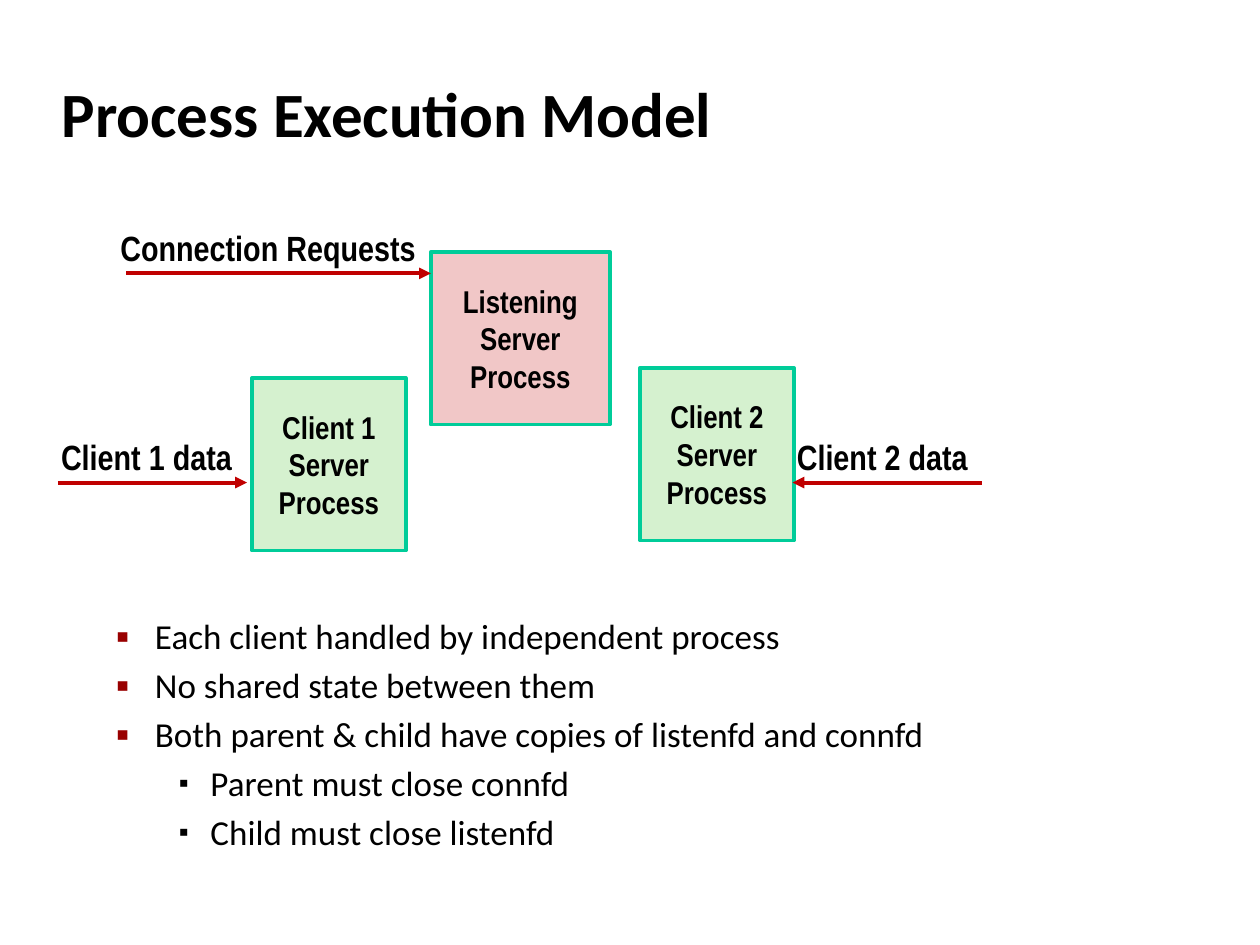
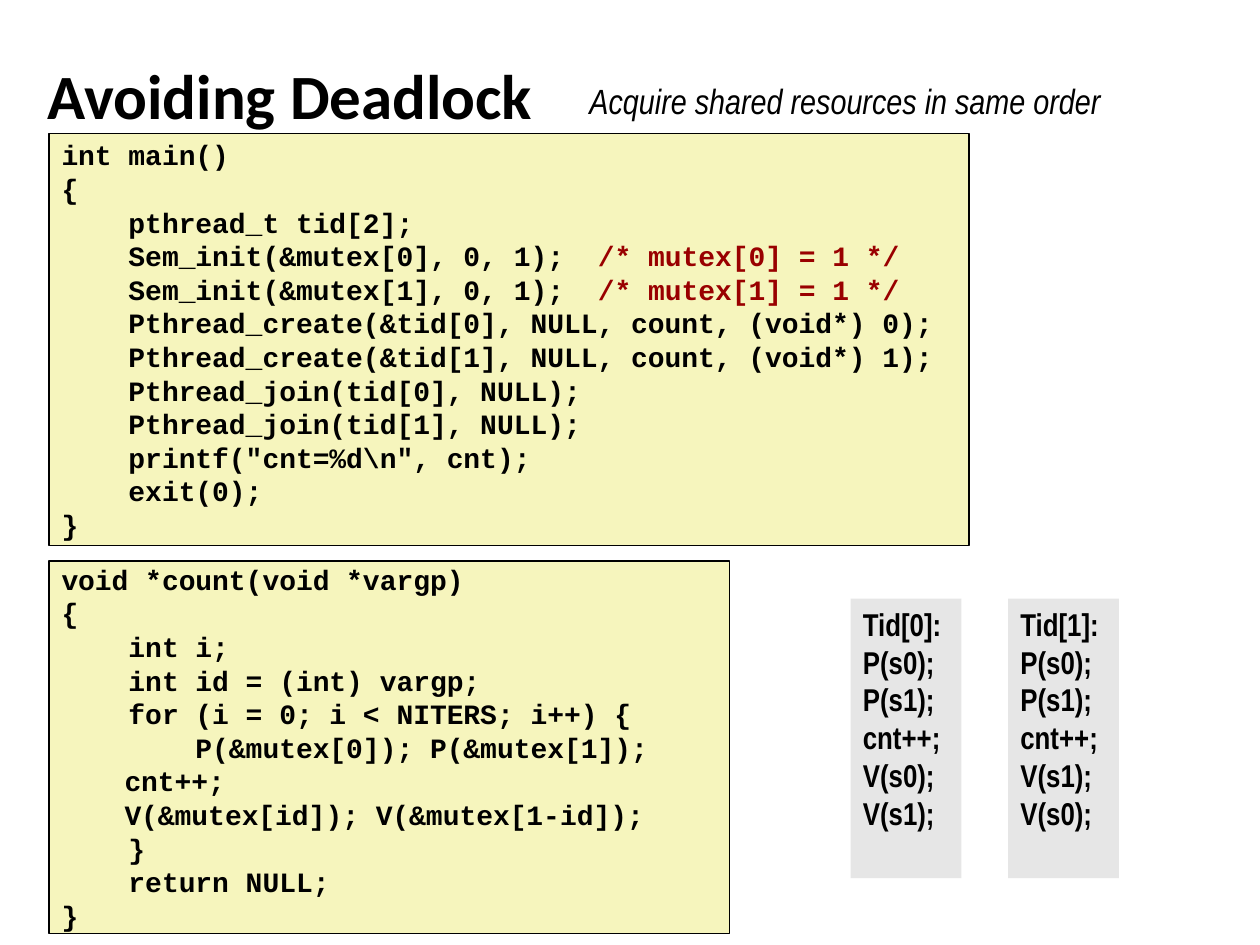
from dataclasses import dataclass

from lxml import etree
from pptx import Presentation
from pptx.dml.color import RGBColor
from pptx.enum.shapes import MSO_CONNECTOR, MSO_SHAPE
from pptx.enum.text import MSO_ANCHOR, MSO_AUTO_SIZE, PP_ALIGN
from pptx.oxml.ns import qn
from pptx.util import Inches, Pt

LEFT, CENTER, RIGHT = PP_ALIGN.LEFT, PP_ALIGN.CENTER, PP_ALIGN.RIGHT
TOP, MIDDLE = MSO_ANCHOR.TOP, MSO_ANCHOR.MIDDLE
NO_AUTOFIT = MSO_AUTO_SIZE.NONE
RECTANGLE = MSO_SHAPE.RECTANGLE
STRAIGHT = MSO_CONNECTOR.STRAIGHT
CONTENT_LAYOUT, TITLE_ONLY_LAYOUT = 1, 5


@dataclass(frozen=True)
class Theme:
    black: str = "000000"
    dark_red: str = "990000"
    arrow_red: str = "C00000"
    outline_green: str = "00CC99"
    client_fill: str = "D5F1CF"
    listener_fill: str = "F1C7C7"
    code_fill: str = "F6F5BD"
    trace_fill: str = "E6E6E6"
    heading_font: str = "Calibri"
    label_font: str = "Arial Narrow"
    code_font: str = "Courier New"
    title_size: int = 36
    text_size: int = 20
    box_size: int = 18
    code_size: int = 16


THEME = Theme()
SLIDE_SIZE = (10, 7.5)
TITLE_SIZE = (8.3, 0.83)
LABEL_HEIGHT = 0.44
PROCESS_HEIGHT = 1.37

# Process boxes: name, left, top, width, fill
PROCESSES = [
    ("Client 1", 2, 3, 1.22, THEME.client_fill),
    ("Client 2", 5.08, 2.92, 1.22, THEME.client_fill),
    ("Listening", 3.42, 2, 1.42, THEME.listener_fill),
]
# Messages: label, label left, label width, arrow start, arrow end, arrow height
MESSAGES = [
    ("Connection Requests", 0.83, 2.57, 1, 3.42, 2.17),
    ("Client 1 data", 0.37, 1.57, 0.46, 1.96, 3.83),
    ("Client 2 data", 6.21, 1.57, 7.79, 6.29, 3.83),
]
LABEL_RISE = 0.42
BULLETS = [
    (1, "Each client handled by independent process"),
    (1, "No shared state between them"),
    (1, "Both parent & child have copies of listenfd and connfd"),
    (2, "Parent must close connfd"),
    (2, "Child must close listenfd"),
]
# Level: indent, hanging part, bullet size in percent, bullet colour
BULLET_STYLES = {
    1: (0.81, 0.31, 110, THEME.dark_red),
    2: (1.25, 0.25, 80, THEME.black),
}

MAIN_CODE = """int main()
{
    pthread_t tid[2];
    Sem_init(&mutex[0], 0, 1);  /* mutex[0] = 1 */
    Sem_init(&mutex[1], 0, 1);  /* mutex[1] = 1 */
    Pthread_create(&tid[0], NULL, count, (void*) 0);
    Pthread_create(&tid[1], NULL, count, (void*) 1);
    Pthread_join(tid[0], NULL);
    Pthread_join(tid[1], NULL);
    printf("cnt=%d\\n", cnt);
    exit(0);
}"""
COUNT_CODE = """void *count(void *vargp)
{
    int i;
    int id = (int) vargp;
    for (i = 0; i < NITERS; i++) {
        P(&mutex[0]); P(&mutex[1]);
\tcnt++;
\tV(&mutex[id]); V(&mutex[1-id]);
    }
    return NULL;
}"""
CODE_LEFT = 0.39
# Code boxes: code, top, width, height
CODE_BOXES = [(MAIN_CODE, 1.06, 7.3, 3.27), (COUNT_CODE, 4.45, 5.4, 2.96)]
TRACES = [
    ["Tid[0]:", "P(s0);", "P(s1);", "cnt++;", "V(s0);", "V(s1);"],
    ["Tid[1]:", "P(s0);", "P(s1);", "cnt++;", "V(s1);", "V(s0);"],
]
TRACE_LEFT, TRACE_PITCH, TRACE_TOP, TRACE_SIZE = 6.75, 1.25, 4.75, (0.88, 2.22)


def color(value):
    return RGBColor.from_string(value)


def inches(values):
    return [Inches(value) for value in values]


def place(shape, left, top, width, height):
    shape.left, shape.top, shape.width, shape.height = inches((left, top, width, height))


def style(paragraph, font, size, bold=False, italic=False, align=LEFT):
    paragraph.alignment = align
    paragraph.font.name = font
    paragraph.font.size = Pt(size)
    paragraph.font.bold = bold
    paragraph.font.italic = italic
    paragraph.font.color.rgb = color(THEME.black)


def set_frame(frame, anchor, wrap):
    frame.auto_size = NO_AUTOFIT
    frame.vertical_anchor = anchor
    frame.word_wrap = wrap


def write_lines(frame, lines, font, size, **options):
    """Write one paragraph per line, with C comments in red."""
    for index, line in enumerate(lines):
        paragraph = frame.paragraphs[0] if index == 0 else frame.add_paragraph()
        code, marker, comment = line.partition("/*")
        paragraph.add_run().text = code
        if marker:
            run = paragraph.add_run()
            run.text = marker + comment
            run.font.color.rgb = color(THEME.dark_red)
        style(paragraph, font, size, **options)


def add_titled_slide(presentation, layout, title, left, top):
    slide = presentation.slides.add_slide(presentation.slide_layouts[layout])
    place(slide.shapes.title, left, top, *TITLE_SIZE)
    frame = slide.shapes.title.text_frame
    set_frame(frame, MIDDLE, True)
    write_lines(frame, [title], THEME.heading_font, THEME.title_size, bold=True)
    return slide


def add_box(slide, bounds, fill, outline=None, line_width=1, anchor=MIDDLE, wrap=True):
    box = slide.shapes.add_shape(RECTANGLE, *inches(bounds))
    box.shadow.inherit = False
    box.fill.solid()
    box.fill.fore_color.rgb = color(fill)
    if outline:
        box.line.color.rgb = color(outline)
        box.line.width = Pt(line_width)
    else:
        box.line.fill.background()
    set_frame(box.text_frame, anchor, wrap)
    return box.text_frame


def add_label(slide, text, left, top, width, **options):
    label = slide.shapes.add_textbox(*inches((left, top, width, LABEL_HEIGHT)))
    set_frame(label.text_frame, TOP, False)
    write_lines(label.text_frame, [text], THEME.label_font, THEME.text_size, **options)


def add_arrow(slide, start, end, height):
    arrow = slide.shapes.add_connector(STRAIGHT, *inches((start, height, end, height)))
    arrow.line.color.rgb = color(THEME.arrow_red)
    arrow.line.width = Pt(2.25)
    etree.SubElement(arrow.line._get_or_add_ln(), qn("a:tailEnd"), type="triangle")
    etree.SubElement(arrow._element.spPr, qn("a:effectLst"))


def add_bullet(paragraph, level):
    indent, hanging, percent, bullet_color = BULLET_STYLES[level]
    properties = paragraph._p.get_or_add_pPr()
    properties.set("marL", str(Inches(indent)))
    properties.set("indent", str(-Inches(hanging)))
    fill = etree.SubElement(properties, qn("a:buClr"))
    etree.SubElement(fill, qn("a:srgbClr"), val=bullet_color)
    etree.SubElement(properties, qn("a:buSzPct"), val=str(percent * 1000))
    etree.SubElement(properties, qn("a:buFont"), typeface="Arial")
    etree.SubElement(properties, qn("a:buChar"), char="▪")


def build_process_slide(presentation):
    slide = add_titled_slide(
        presentation, CONTENT_LAYOUT, "Process Execution Model", 0.39, 0.48)
    body = slide.placeholders[1]
    place(body, 0.32, 4.83, 9.09, 2.22)
    set_frame(body.text_frame, TOP, True)
    for index, (level, text) in enumerate(BULLETS):
        frame = body.text_frame
        paragraph = frame.paragraphs[0] if index == 0 else frame.add_paragraph()
        paragraph.text = text
        paragraph.level = level
        add_bullet(paragraph, level)
        paragraph.space_before = Pt(4 if index else 0)
        style(paragraph, THEME.heading_font, THEME.text_size)

    for name, left, top, width, fill in PROCESSES:
        frame = add_box(slide, (left, top, width, PROCESS_HEIGHT), fill,
                        THEME.outline_green, 2.25, wrap=False)
        write_lines(frame, [name, "Server", "Process"], THEME.label_font,
                    THEME.box_size, bold=True, align=CENTER)
    for text, left, width, start, end, height in MESSAGES:
        add_arrow(slide, start, end, height)
        add_label(slide, text, left, height - LABEL_RISE, width, bold=True, align=RIGHT)


def build_deadlock_slide(presentation):
    slide = add_titled_slide(
        presentation, TITLE_ONLY_LAYOUT, "Avoiding Deadlock", 0.28, 0.33)
    for code, top, width, height in CODE_BOXES:
        frame = add_box(slide, (CODE_LEFT, top, width, height),
                        THEME.code_fill, THEME.black)
        frame.margin_top = frame.margin_bottom = 0
        write_lines(frame, code.split("\n"), THEME.code_font, THEME.code_size, bold=True)
    for column, lines in enumerate(TRACES):
        left = TRACE_LEFT + column * TRACE_PITCH
        frame = add_box(slide, (left, TRACE_TOP, *TRACE_SIZE), THEME.trace_fill, anchor=TOP)
        write_lines(frame, lines, THEME.label_font, THEME.box_size, bold=True)
    add_label(slide, "Acquire shared resources in same order", 4.58, 0.58, 4.66, italic=True)


def main():
    presentation = Presentation()
    presentation.slide_width, presentation.slide_height = inches(SLIDE_SIZE)
    build_process_slide(presentation)
    build_deadlock_slide(presentation)
    presentation.save("out.pptx")


if __name__ == "__main__":
    main()
